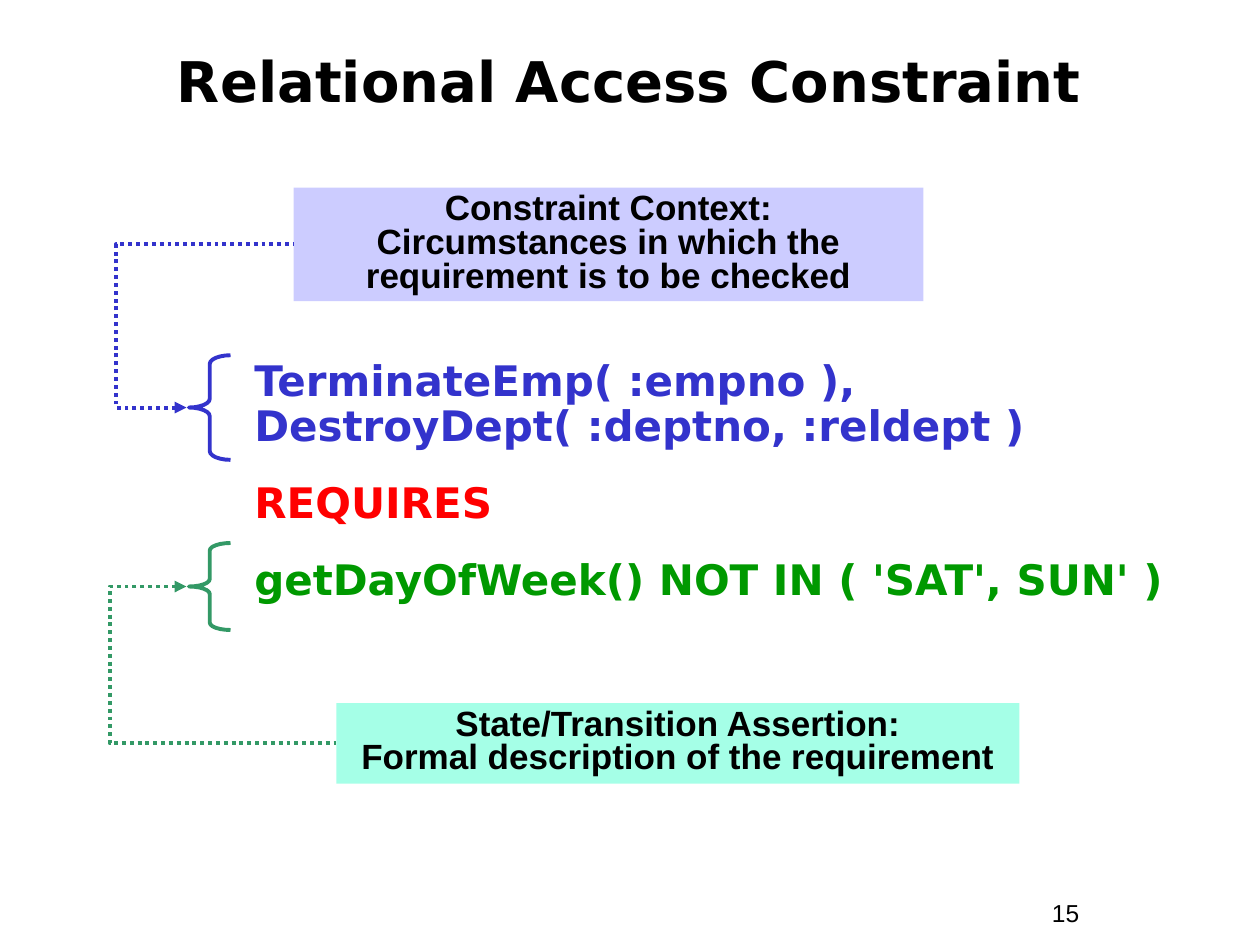
from lxml import etree
from pptx import Presentation
from pptx.dml.color import RGBColor
from pptx.enum import dml, shapes, text
from pptx.oxml.ns import qn
from pptx.util import Inches, Pt

COLORS = {"black": "000000", "blue": "3333CC", "red": "FF0000", "green": "009900",
          "sea": "339966", "lavender": "CCCCFF", "mint": "A5FFE7"}
CENTER, LEFT = text.PP_ALIGN.CENTER, text.PP_ALIGN.LEFT

TITLE = [("Relational Access Constraint", "black")]
RULE = [("TerminateEmp( :empno ),\vDestroyDept( :deptno, :reldept )", "blue"),
        ("REQUIRES", "red"),
        ("getDayOfWeek() NOT IN ( 'SAT', SUN' )", "green")]
NUMBER = [("15", "black")]
NOTES = [
    {"text": "Constraint Context:\vCircumstances in which the requirement is to be checked",
     "box": (2.33, 1.49, 5, 0.9), "fill": "lavender", "line": "blue",
     "brace": (1.5, 2.82, 0.33, 0.83), "curve": 0.21, "elbow": 0.92},
    {"text": "State/Transition Assertion:\vFormal description of the requirement",
     "box": (2.67, 5.58, 5.42, 0.64), "fill": "mint", "line": "sea",
     "brace": (1.5, 4.31, 0.33, 0.69), "curve": 0.18, "elbow": 0.87},
]
TITLE_FONT = {"name": "DejaVu Sans", "size": Pt(32), "bold": True}
RULE_FONT = {"name": "DejaVu Sans", "size": Pt(24), "bold": True}
NOTE_FONT = {"name": "Arial", "size": Pt(20), "bold": True}
NUMBER_FONT = {"name": "Arial", "size": Pt(14), "bold": False}
ARROW_START = 1.48


def rgb(name):
    return RGBColor.from_string(COLORS[name])


def inches(values):
    return [Inches(v) for v in values]


def write(sp, paragraphs, font, anchor=text.MSO_ANCHOR.TOP, **layout):
    tf = sp.text_frame
    frame = {"word_wrap": True, "auto_size": text.MSO_AUTO_SIZE.NONE, "vertical_anchor": anchor}
    for key, value in frame.items():
        setattr(tf, key, value)
    for i, (words, color) in enumerate(paragraphs):
        p = tf.add_paragraph() if i else tf.paragraphs[0]
        p.text = words
        for key, value in layout.items():
            setattr(p, key, value)
        for r in p.runs:
            for key, value in font.items():
                setattr(r.font, key, value)
            r.font.color.rgb = rgb(color)


def stroke(sp, color):
    sp.line.color.rgb = rgb(color)
    sp.line.width = Pt(2.25)


def add_note(s, note):
    box = s.shapes.add_shape(shapes.MSO_SHAPE.RECTANGLE, *inches(note["box"]))
    box.shadow.inherit = False
    box.fill.solid()
    box.fill.fore_color.rgb = rgb(note["fill"])
    box.line.fill.background()
    write(box, [(note["text"], "black")], NOTE_FONT,
          alignment=CENTER, line_spacing=0.8, space_before=Pt(12.5))

    brace = s.shapes.add_shape(shapes.MSO_SHAPE.LEFT_BRACE, *inches(note["brace"]))
    brace.shadow.inherit = False
    brace.fill.background()
    brace.adjustments[0] = note["curve"]
    stroke(brace, note["line"])

    left, top, _, height = note["box"]
    tip = note["brace"][1] + note["brace"][3] / 2
    arrow = s.shapes.add_connector(shapes.MSO_CONNECTOR.ELBOW,
                                   *inches((ARROW_START, tip, left, top + height / 2)))
    stroke(arrow, note["line"])
    arrow.line.dash_style = dml.MSO_LINE.ROUND_DOT
    etree.SubElement(arrow.line._get_or_add_ln(), qn("a:headEnd"), type="triangle")
    pr = arrow._element.spPr
    bend = round((note["elbow"] - ARROW_START) / (left - ARROW_START) * 100000)
    etree.SubElement(pr.find(".//" + qn("a:avLst")), qn("a:gd"), name="adj1", fmla=f"val {bend}")
    etree.SubElement(pr, qn("a:effectLst"))


def main():
    """Build the relational access constraint slide."""
    prs = Presentation()
    prs.slide_width, prs.slide_height = inches((10, 7.5))
    s = prs.slides.add_slide(prs.slide_layouts[5])

    title = s.shapes.title
    title.left, title.top, title.width, title.height = inches((0.33, 0.22, 9.33, 0.92))
    write(title, TITLE, TITLE_FONT, text.MSO_ANCHOR.MIDDLE, alignment=CENTER, line_spacing=0.85)

    rule = s.shapes.add_textbox(*inches((1.92, 2.81, 7.67, 2.92)))
    write(rule, RULE, RULE_FONT, alignment=LEFT, line_spacing=0.9, space_before=Pt(18))

    for note in NOTES:
        add_note(s, note)

    number = s.shapes.add_textbox(*inches((8.25, 7.08, 0.92, 0.34)))
    write(number, NUMBER, NUMBER_FONT, alignment=LEFT, space_before=Pt(8.8))
    prs.save("out.pptx")


if __name__ == "__main__":
    main()
